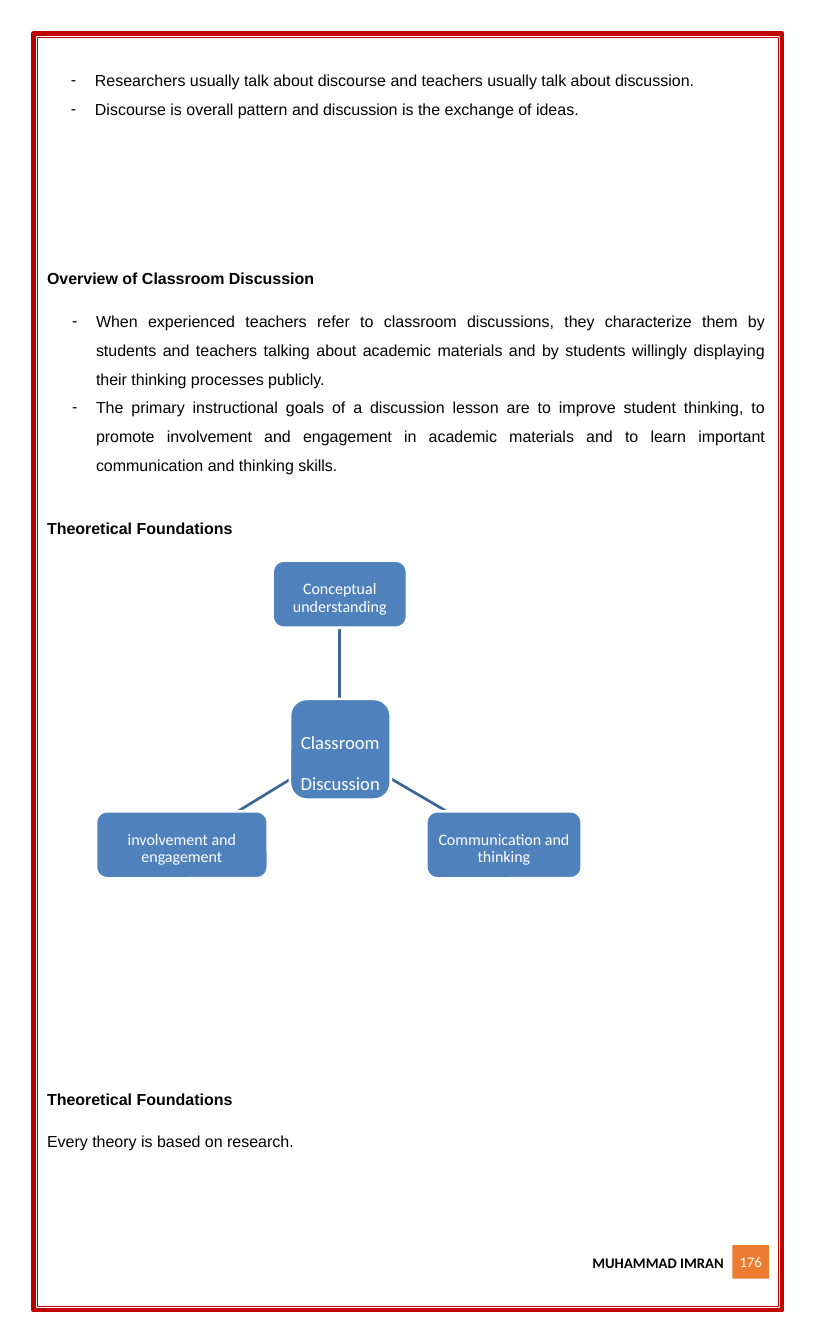
from lxml.etree import SubElement
from pptx import Presentation
from pptx.dml.color import RGBColor
from pptx.enum.shapes import MSO_CONNECTOR as Link, MSO_SHAPE as Shape
from pptx.enum.text import MSO_ANCHOR as Anchor, PP_ALIGN as Align
from pptx.oxml.ns import qn
from pptx.util import Inches, Pt

BODY = {"name": "Arial", "size": Pt(12)}
HEADING = {**BODY, "bold": True}
NODE = {"name": "Calibri", "size": Pt(12)}
HUB = {"name": "Calibri", "size": Pt(14)}
FOOTER = {"name": "Calibri", "size": Pt(11)}
AUTHOR = {**FOOTER, "bold": True}


def color(code):
    return RGBColor.from_string(code)


class Handout:
    ink, paper = "000000", "FFFFFF"
    red, blue, steel, orange = "C00000", "4F81BC", "3C6695", "EC7C30"

    def __init__(self, page):
        self.page = page

    def add_span(self, para, text, font, ink, layout=None):
        for name, value in (layout or {}).items():
            setattr(para, name, value)
        span = para.add_run()
        span.text = text
        for name, value in font.items():
            setattr(span.font, name, value)
        span.font.color.rgb = color(ink)

    def inset(self, frame, left=0, top=0, right=0, bottom=0):
        frame.word_wrap = True
        frame.margin_left, frame.margin_top = Inches(left), Inches(top)
        frame.margin_right, frame.margin_bottom = Inches(right), Inches(bottom)

    def text(self, left, top, width, height, items):
        box = self.page.shapes.add_textbox(*map(Inches, (left, top, width, height)))
        frame = box.text_frame
        self.inset(frame)
        for index, (text, font, indent, layout) in enumerate(items):
            para = frame.add_paragraph() if index else frame.paragraphs[0]
            if indent:
                self.bullet(para, indent)
            self.add_span(para, text, font, self.ink, layout)

    def bullet(self, para, indent):
        props = para._p.get_or_add_pPr()
        props.set("marL", str(Inches(indent)))
        props.set("indent", str(Inches(-0.25)))
        SubElement(props, qn("a:buFont"), typeface="Arial")
        SubElement(props, qn("a:buChar"), char="-")

    def shape(self, kind, left, top, width, height, fill=None, line=None, weight=1):
        shape = self.page.shapes.add_shape(kind, *map(Inches, (left, top, width, height)))
        shape.shadow.inherit = False
        if fill:
            shape.fill.solid()
            shape.fill.fore_color.rgb = color(fill)
        else:
            shape.fill.background()
        if line:
            shape.line.color.rgb = color(line)
            shape.line.width = Pt(weight)
        else:
            shape.line.fill.background()
        return shape

    def label(self, shape, text, font, top=0, layout=None):
        frame = shape.text_frame
        self.inset(frame, 0.05, top, 0.05)
        frame.vertical_anchor = Anchor.MIDDLE
        para = frame.paragraphs[0]
        para.alignment = Align.CENTER
        self.add_span(para, text, font, self.paper, layout)

    def node(self, left, top, width, height, text, font, spacing):
        shape = self.shape(Shape.ROUNDED_RECTANGLE, left, top, width, height,
                           self.blue, self.paper, 2)
        self.label(shape, text, font, 0.08, {"line_spacing": Pt(spacing)})

    def spoke(self, *ends):
        line = self.page.shapes.add_connector(Link.STRAIGHT, *map(Inches, ends))
        line.line.color.rgb = color(self.steel)
        line.line.width = Pt(2)
        SubElement(line._element.spPr, qn("a:effectLst"))

    def frame(self, margin, weight):
        self.shape(Shape.RECTANGLE, margin, margin, 8.5 - 2 * margin, 14 - 2 * margin,
                   line=self.red, weight=weight)


def main():
    deck = Presentation()
    deck.slide_width, deck.slide_height = Inches(8.5), Inches(14)
    handout = Handout(deck.slides.add_slide(deck.slide_layouts[6]))

    handout.frame(0.35, 3.25)
    handout.frame(0.39, 0.75)

    handout.text(0.73, 0.73, 6.53, 0.52, [
        ("Researchers usually talk about discourse and teachers usually talk about "
         "discussion.", BODY, 0.26, {}),
        ("Discourse is overall pattern and discussion is the exchange of ideas.",
         BODY, 0.26, {"space_before": Pt(7.7)}),
    ])

    prose = {"alignment": Align.JUSTIFY, "line_spacing": 1.5}
    handout.text(0.49, 2.8, 7.49, 2.1, [
        ("Overview of Classroom Discussion", HEADING, 0, {}),
        ("When experienced teachers refer to classroom discussions, they characterize "
         "them by students and teachers talking about academic materials and by "
         "students willingly displaying their thinking processes publicly.",
         BODY, 0.51, {**prose, "space_before": Pt(10.4)}),
        ("The primary instructional goals of a discussion lesson are to improve "
         "student thinking, to promote involvement and engagement in academic "
         "materials and to learn important communication and thinking skills.",
         BODY, 0.51, prose),
    ])

    foundations = ("Theoretical Foundations", HEADING, 0, {})
    handout.text(0.49, 5.4, 1.96, 0.22, [foundations])
    handout.text(0.49, 11.35, 2.6, 0.64, [
        foundations,
        ("Every theory is based on research.", BODY, 0, {"space_before": Pt(17)}),
    ])

    for ends in ((3.54, 6.54, 3.54, 7.28), (4.07, 8.11, 4.65, 8.45),
                 (3.02, 8.12, 2.48, 8.45)):
        handout.spoke(*ends)
    handout.node(3.02, 7.28, 1.05, 1.05, "Classroom Discussion", HUB, 30.8)
    for left, top, width, text in (
            (2.84, 5.84, 1.4, "Conceptual understanding"),
            (4.44, 8.45, 1.62, "Communication and thinking"),
            (1, 8.45, 1.79, "involvement and engagement")):
        handout.node(left, top, width, 0.7, text, NODE, 13.2)

    handout.text(6.17, 13.06, 1.45, 0.18, [("MUHAMMAD IMRAN", AUTHOR, 0, {})])
    number = handout.shape(Shape.RECTANGLE, 7.63, 12.97, 0.38, 0.35, handout.orange)
    handout.label(number, "176", FOOTER)

    deck.save("out.pptx")


if __name__ == "__main__":
    main()
